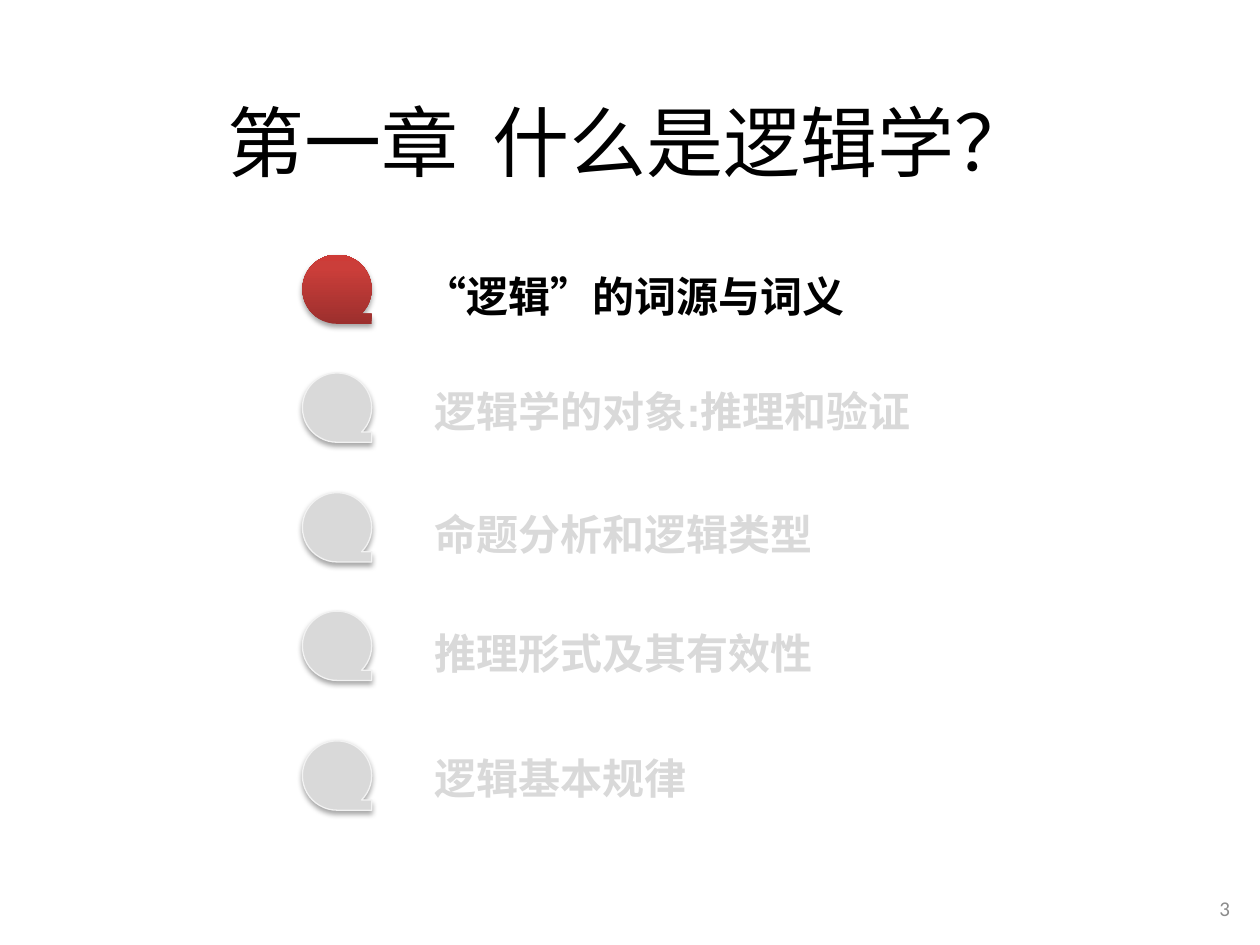
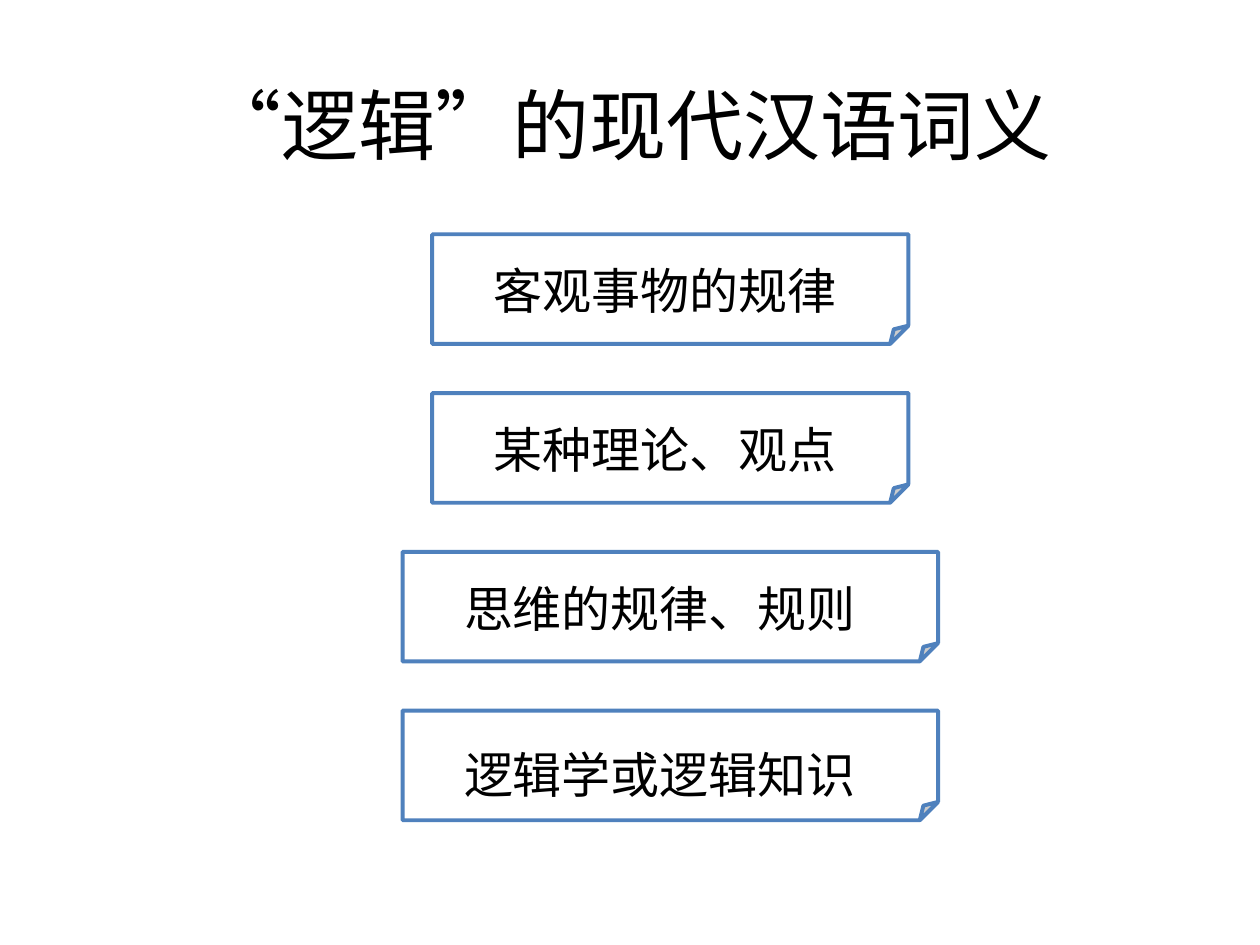
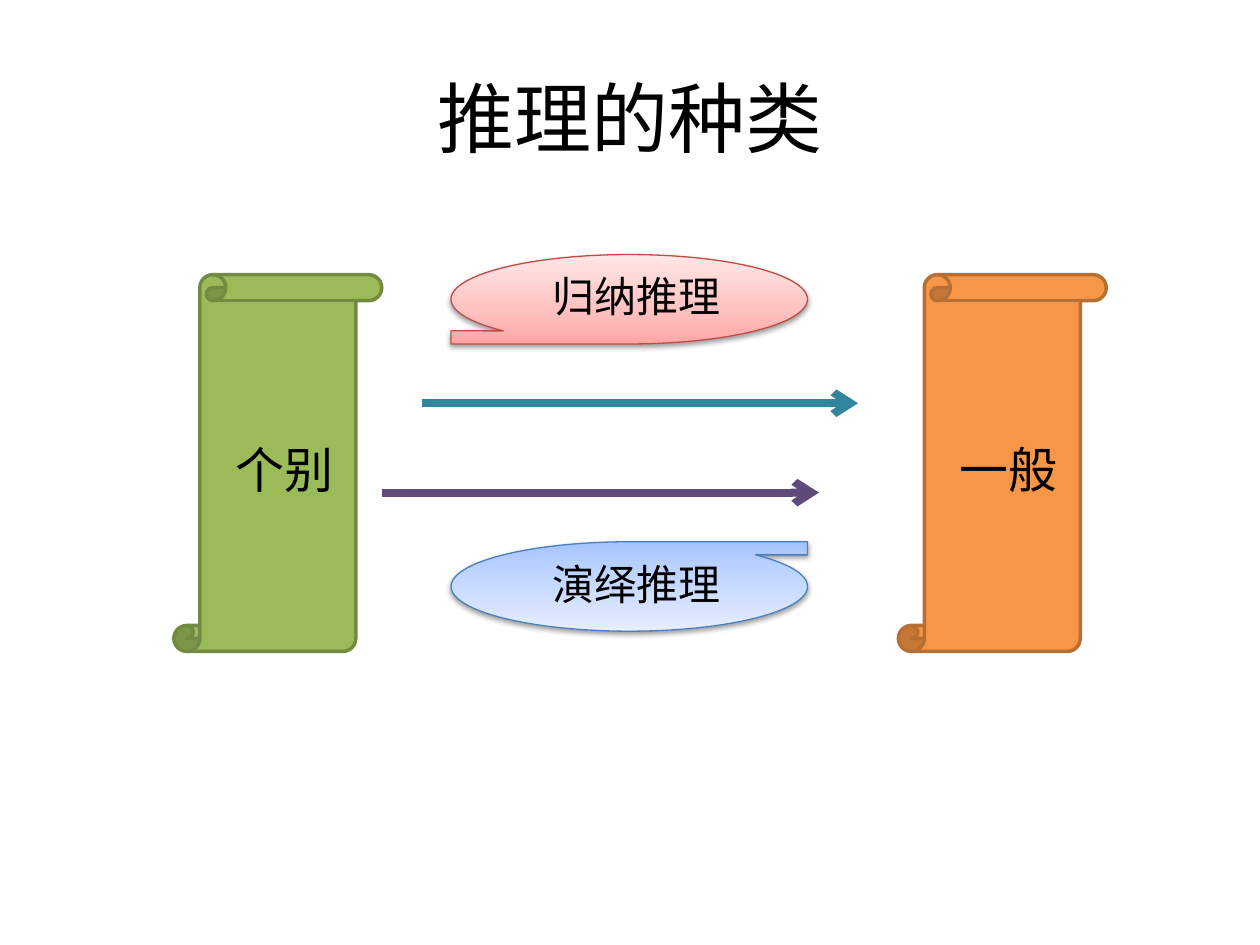
from lxml import etree
from pptx import Presentation
from pptx.dml.color import RGBColor
from pptx.enum.shapes import MSO_CONNECTOR, MSO_SHAPE
from pptx.enum.text import MSO_ANCHOR, PP_ALIGN
from pptx.oxml.ns import qn
from pptx.util import Inches, Pt

TAPE = MSO_SHAPE.FLOWCHART_SEQUENTIAL_ACCESS_STORAGE
NOTE = MSO_SHAPE.FOLDED_CORNER
SCROLL = MSO_SHAPE.VERTICAL_SCROLL
STRAIGHT = MSO_CONNECTOR.STRAIGHT
TOP, MIDDLE = MSO_ANCHOR.TOP, MSO_ANCHOR.MIDDLE
LEFT, CENTER, RIGHT = PP_ALIGN.LEFT, PP_ALIGN.CENTER, PP_ALIGN.RIGHT

BLACK = RGBColor(0x00, 0x00, 0x00)
WHITE = RGBColor(0xFF, 0xFF, 0xFF)
NUMBER_GRAY = RGBColor(0x8C, 0x8C, 0x8C)
FADED = RGBColor(0xD9, 0xD9, 0xD9)
FADED_EDGE = RGBColor(0xF2, 0xF2, 0xF2)
BLUE = RGBColor(0x4F, 0x81, 0xBD)
GREEN = RGBColor(0x9B, 0xBB, 0x59)
GREEN_EDGE = RGBColor(0x73, 0x8A, 0x42)
ORANGE = RGBColor(0xF7, 0x96, 0x46)
ORANGE_EDGE = RGBColor(0xB7, 0x6F, 0x34)
TEAL = RGBColor(0x31, 0x85, 0x9C)
PURPLE = RGBColor(0x60, 0x4A, 0x7B)
PINK_EDGE = RGBColor(0xBF, 0x4C, 0x48)
SKY_EDGE = RGBColor(0x4B, 0x7E, 0xBC)
RED_GRADIENT = [(0, "9C2F2D"), (80, "CB3E3A"), (100, "CE3B37")]
PINK_GRADIENT = [(0, "FFA6A5"), (35, "FFC0BF"), (100, "FFE7E7")]
SKY_GRADIENT = [(0, "A4C4FF"), (35, "BFD4FF"), (100, "E6EEFF")]

TITLE_FONT = "Noto Sans CJK JP"
BODY_FONT = "Noto Sans CJK SC"

CHAPTER_TITLE = "第一章  什么是逻辑学？"
SECTIONS = [
    ("“逻辑”的词源与词义", 2.02, 3.27, 2.1),
    ("逻辑学的对象:推理和验证", 2.96, 3.35, 3.01),
    ("命题分析和逻辑类型", 3.91, 3.35, 3.99),
    ("推理形式及其有效性", 4.85, 3.35, 4.93),
    ("逻辑基本规律", 5.88, 3.35, 5.92),
]
CURRENT_SECTION = 0

MEANINGS_TITLE = "“逻辑”的现代汉语词义"
MEANINGS = [
    ("客观事物的规律", 3.78, 0.16),
    ("某种理论、观点", 3.78, 0.16),
    ("思维的规律、规则", 4.25, 0.16),
    ("逻辑学或逻辑知识", 4.25, 0.22),
]
NOTE_CENTER, NOTE_TOP, NOTE_STEP, NOTE_HEIGHT = 5.32, 1.86, 1.26, 0.87

KINDS_TITLE = "推理的种类"
SCROLLS = [("个别", 1.38, GREEN, GREEN_EDGE), ("一般", 7.13, ORANGE, ORANGE_EDGE)]
ARROWS = [(3.35, 6.81, 3.2, TEAL), (3.03, 6.5, 3.91, PURPLE)]
INFERENCES = [
    ("演绎推理", 4.3, SKY_GRADIENT, SKY_EDGE, "flipV"),
    ("归纳推理", 2.02, PINK_GRADIENT, PINK_EDGE, "flipH"),
]


def add_text(slide, text, box, size, font=BODY_FONT, color=BLACK, bold=False,
             align=LEFT, anchor=TOP, spacing=None):
    tf = slide.shapes.add_textbox(*map(Inches, box)).text_frame
    tf.word_wrap = True
    tf.vertical_anchor = anchor
    p = tf.paragraphs[0]
    p.alignment = align
    if spacing:
        p.line_spacing = spacing
    r = p.add_run()
    r.text = text
    for name, value in {"size": Pt(size), "name": font, "bold": bold}.items():
        setattr(r.font, name, value)
    r.font.color.rgb = color
    east_asian = font if font == TITLE_FONT else BODY_FONT
    rPr = r._r.get_or_add_rPr()
    rPr.set("lang", "zh-CN")
    etree.SubElement(rPr, qn("a:ea"), typeface=east_asian)


def add_title(slide, text, box=(0.5, 0.3, 9, 1.25), spacing=None):
    add_text(slide, text, box, 44, TITLE_FONT, align=CENTER, anchor=MIDDLE, spacing=spacing)


def set_gradient(s, stops):
    s.fill.solid()
    solid = s._element.spPr.find(qn("a:solidFill"))
    grad = etree.Element(qn("a:gradFill"), rotWithShape="1")
    gs_list = etree.SubElement(grad, qn("a:gsLst"))
    for percent, color in stops:
        gs = etree.SubElement(gs_list, qn("a:gs"), pos=str(percent * 1000))
        etree.SubElement(gs, qn("a:srgbClr"), val=color)
    etree.SubElement(grad, qn("a:lin"), ang=str(270 * 60000), scaled="0")
    solid.getparent().replace(solid, grad)


def set_shadow(s, opacity, distance):
    effects = s._element.spPr.find(qn("a:effectLst"))
    shadow = etree.SubElement(effects, qn("a:outerShdw"), blurRad=str(Pt(3.1)),
                              dist=str(Pt(distance)), dir=str(90 * 60000), rotWithShape="0")
    color = etree.SubElement(shadow, qn("a:srgbClr"), val="000000")
    etree.SubElement(color, qn("a:alpha"), val=str(opacity * 1000))


def add_shape(slide, kind, box, fill, edge=None, width=0.75):
    s = slide.shapes.add_shape(kind, *map(Inches, box))
    s.shadow.inherit = False
    if isinstance(fill, list):
        set_gradient(s, fill)
    else:
        s.fill.solid()
        s.fill.fore_color.rgb = fill
    if edge is None:
        s.line.fill.background()
    else:
        s.line.color.rgb = edge
        s.line.width = Pt(width)
    return s


def add_arrow(slide, start, end, y, color):
    c = slide.shapes.add_connector(STRAIGHT, *map(Inches, (start, y, end, y)))
    c.line.color.rgb = color
    c.line.width = Pt(4.5)
    spPr = c._element.spPr
    etree.SubElement(spPr.find(qn("a:ln")), qn("a:tailEnd"), type="arrow")
    etree.SubElement(spPr, qn("a:effectLst"))


def build_chapter(slide):
    add_text(slide, "3", (9.46, 7.01, 0.4, 0.4), 12, "Calibri", NUMBER_GRAY,
             align=RIGHT, anchor=MIDDLE)
    add_title(slide, CHAPTER_TITLE, (0.5, 0.31, 9, 1.24), 1.5)
    for i, (text, marker_top, left, top) in enumerate(SECTIONS):
        current = i == CURRENT_SECTION
        fill, edge = (RED_GRADIENT, None) if current else (FADED, FADED_EDGE)
        font, color = ("Calibri", BLACK) if current else ("Arial", FADED)
        s = add_shape(slide, TAPE, (2.4, marker_top, 0.55, 0.55), fill, edge)
        set_shadow(s, 35, 1.8)
        add_text(slide, text, (left, top, 5.59, 0.5), 24, font, color, True)


def build_meanings(slide):
    add_title(slide, MEANINGS_TITLE, (0.49, 0.36, 9, 1.25))
    for i, (text, width, text_drop) in enumerate(MEANINGS):
        left = NOTE_CENTER - width / 2
        top = NOTE_TOP + i * NOTE_STEP
        add_shape(slide, NOTE, (left, top, width, NOTE_HEIGHT), WHITE, BLUE, 2.25)
        add_text(slide, text, (left + 0.39, top + text_drop, 6.14, 0.57), 28)


def build_kinds(slide):
    add_title(slide, KINDS_TITLE)
    for text, left, fill, edge in SCROLLS:
        add_shape(slide, SCROLL, (left, 2.18, 1.65, 2.99), fill, edge, 2)
        add_text(slide, text, (left + 0.39, 3.44, 1.26, 0.57), 28)
    for arrow in ARROWS:
        add_arrow(slide, *arrow)
    for text, top, gradient, edge, flip in INFERENCES:
        s = add_shape(slide, TAPE, (3.58, top, 2.83, 0.71), gradient, edge)
        s._element.spPr.find(qn("a:xfrm")).set(flip, "1")
        set_shadow(s, 38, 1.6)
        add_text(slide, text, (4.29, top + 0.08, 2.2, 0.5), 24)


def main():
    prs = Presentation()
    prs.slide_width, prs.slide_height = Inches(10), Inches(7.5)
    for build in (build_chapter, build_meanings, build_kinds):
        build(prs.slides.add_slide(prs.slide_layouts[6]))
    prs.save("out.pptx")


if __name__ == "__main__":
    main()
